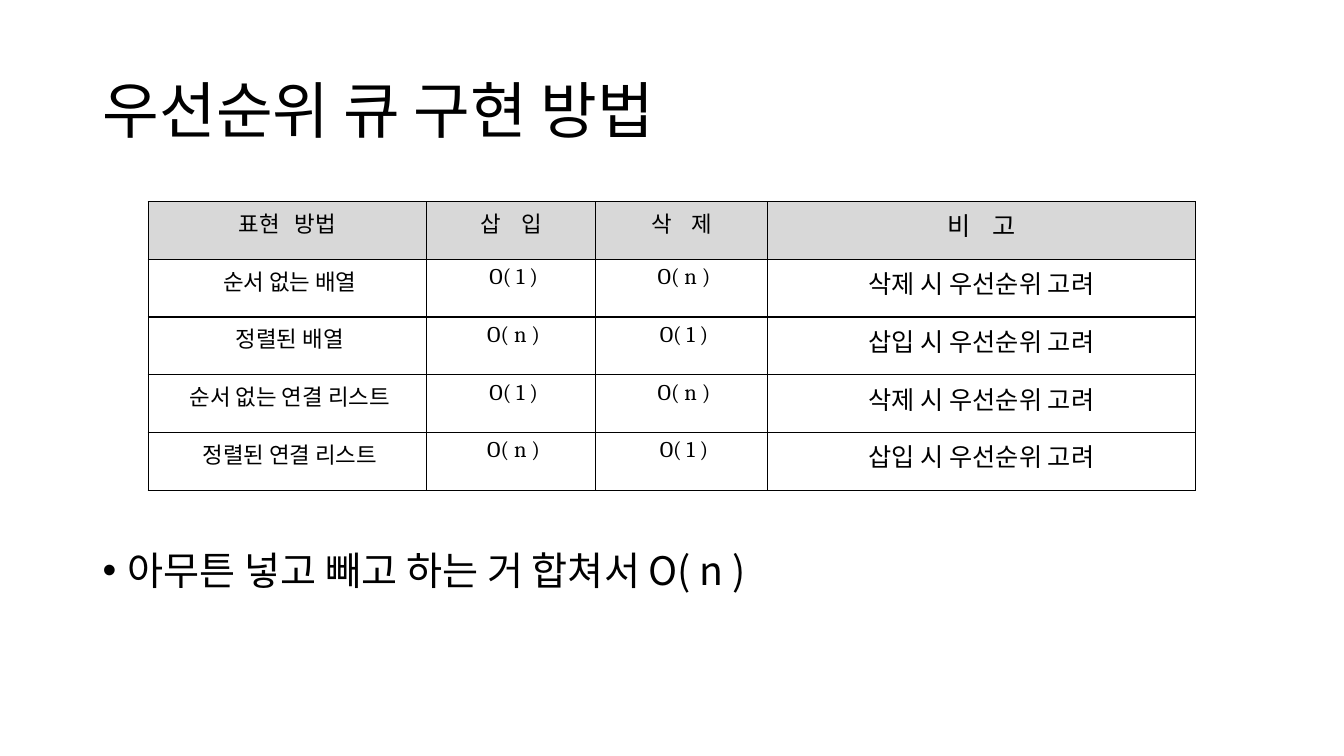
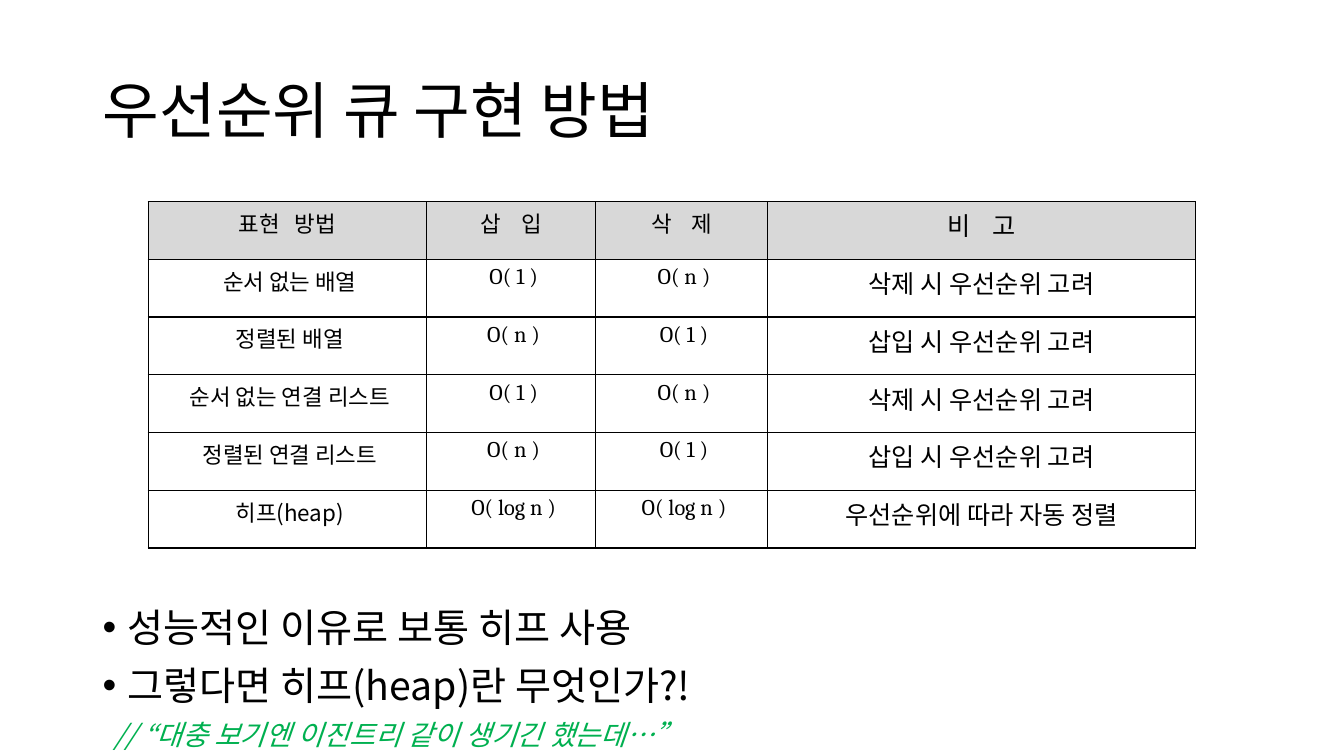
from pptx import Presentation
from pptx.dml.color import RGBColor
from pptx.enum.text import MSO_ANCHOR, PP_ALIGN
from pptx.oxml.ns import qn
from pptx.util import Inches, Pt
from lxml import etree

MIDDLE = MSO_ANCHOR.MIDDLE
CENTER = PP_ALIGN.CENTER
BLACK = RGBColor(0x00, 0x00, 0x00)
GREEN = RGBColor(0x00, 0xB0, 0x50)
HEADER_GRAY = RGBColor(0xD8, 0xD8, 0xD8)
KOREAN_FONT = "Noto Sans CJK KR"
FORMULA_FONT = "Cambria"
NBSP = chr(160)

TITLE = "우선순위 큐 구현 방법"
HEADER = (f"표현{NBSP * 2} 방법", f"삽{NBSP * 3} 입", f"삭{NBSP * 3} 제", "비    고")
BASIC_METHODS = [
    ("순서 없는 배열", "O( 1 )", "O( n )", "삭제 시 우선순위 고려"),
    ("정렬된 배열", "O( n )", "O( 1 )", "삽입 시 우선순위 고려"),
    ("순서 없는 연결 리스트", "O( 1 )", "O( n )", "삭제 시 우선순위 고려"),
    ("정렬된 연결 리스트", "O( n )", "O( 1 )", "삽입 시 우선순위 고려"),
]
HEAP_METHOD = ("히프(heap)", "O( log n )", "O( log n )", "우선순위에 따라 자동 정렬")
SLIDES = [
    {
        "methods": BASIC_METHODS,
        "bullets": ["아무튼 넣고 빼고 하는 거 합쳐서 O( n )"],
        "comment": None,
    },
    {
        "methods": BASIC_METHODS + [HEAP_METHOD],
        "bullets": ["성능적인 이유로 보통 히프 사용", "그렇다면 히프(heap)란 무엇인가?!"],
        "comment": "// “대충 보기엔 이진트리 같이 생기긴 했는데…”",
    },
]

TEXT_LEFT, TEXT_WIDTH = 0.92, 11.5
TABLE_LEFT, TABLE_TOP = 1.47, 2
COLUMN_WIDTHS = (2.76, 1.68, 1.7, 4.25)
ROW_HEIGHT = 0.573
NOTES_GAP = 0.4


def format_run(run, size, color=BLACK, font=KOREAN_FONT):
    run.font.size = Pt(size)
    run.font.color.rgb = color
    run.font.name = font
    east_asian = etree.SubElement(run.font._element, qn("a:ea"))
    east_asian.set("typeface", font)


def add_text_frame(slide, top, height):
    box = slide.shapes.add_textbox(
        Inches(TEXT_LEFT), Inches(top), Inches(TEXT_WIDTH), Inches(height))
    box.text_frame.word_wrap = True
    return box.text_frame


def add_title(slide):
    frame = add_text_frame(slide, 0.4, 1.45)
    frame.vertical_anchor = MIDDLE
    frame.text = TITLE
    frame.paragraphs[0].line_spacing = 0.9
    format_run(frame.paragraphs[0].runs[0], 44)


def set_borders(cell):
    properties = cell._tc.get_or_add_tcPr()
    for side in ("a:lnL", "a:lnR", "a:lnT", "a:lnB"):
        line = etree.SubElement(properties, qn(side), w=str(Pt(0.96)))
        fill = etree.SubElement(line, qn("a:solidFill"))
        etree.SubElement(fill, qn("a:srgbClr"), val=str(BLACK))


def cell_runs(text, column, is_header):
    if column == len(COLUMN_WIDTHS) - 1:
        return [(text, 18, KOREAN_FONT)]
    if is_header:
        return [(text, 16, KOREAN_FONT)]
    if column == 0:
        return [(NBSP, 16, FORMULA_FONT), (text, 16, KOREAN_FONT)]
    return [(NBSP + text, 16, FORMULA_FONT)]


def add_methods_table(slide, methods):
    rows = [HEADER] + methods
    table = slide.shapes.add_table(
        len(rows), len(HEADER), Inches(TABLE_LEFT), Inches(TABLE_TOP),
        Inches(sum(COLUMN_WIDTHS)), Inches(ROW_HEIGHT * len(rows))).table
    table.first_row = False
    table.horz_banding = False
    for column, width in zip(table.columns, COLUMN_WIDTHS):
        column.width = Inches(width)
    for row_index, row in enumerate(rows):
        for column_index, text in enumerate(row):
            cell = table.cell(row_index, column_index)
            set_borders(cell)
            if row_index == 0:
                cell.fill.solid()
                cell.fill.fore_color.rgb = HEADER_GRAY
            else:
                cell.fill.background()
            paragraph = cell.text_frame.paragraphs[0]
            paragraph.alignment = CENTER
            for content, size, font in cell_runs(text, column_index, row_index == 0):
                run = paragraph.add_run()
                run.text = content
                format_run(run, size, font=font)
    return TABLE_TOP + ROW_HEIGHT * len(rows)


def set_indent(paragraph, margin, bullet):
    properties = paragraph._p.get_or_add_pPr()
    properties.set("marL", str(Inches(margin)))
    if bullet:
        properties.set("indent", str(-Inches(margin)))
        font = etree.SubElement(properties, qn("a:buFont"))
        font.set("typeface", "Arial")
        etree.SubElement(properties, qn("a:buChar")).set("char", "•")


def add_notes(slide, top, bullets, comment):
    frame = add_text_frame(slide, top, 1.6)
    lines = [(text, 28, BLACK, 41, 0.25, True) for text in bullets]
    if comment:
        lines.append((comment, 20, GREEN, 31, 0.12, False))
    for index, (text, size, color, spacing, margin, bullet) in enumerate(lines):
        paragraph = frame.add_paragraph() if index else frame.paragraphs[0]
        paragraph.text = text
        paragraph.line_spacing = Pt(spacing)
        set_indent(paragraph, margin, bullet)
        format_run(paragraph.runs[0], size, color)
        paragraph.runs[0].font.italic = not bullet


def main():
    presentation = Presentation()
    presentation.slide_width = Inches(13.33)
    presentation.slide_height = Inches(7.5)
    for content in SLIDES:
        slide = presentation.slides.add_slide(presentation.slide_layouts[6])
        add_title(slide)
        table_bottom = add_methods_table(slide, content["methods"])
        add_notes(slide, table_bottom + NOTES_GAP, content["bullets"], content["comment"])
    presentation.save("out.pptx")


if __name__ == "__main__":
    main()
